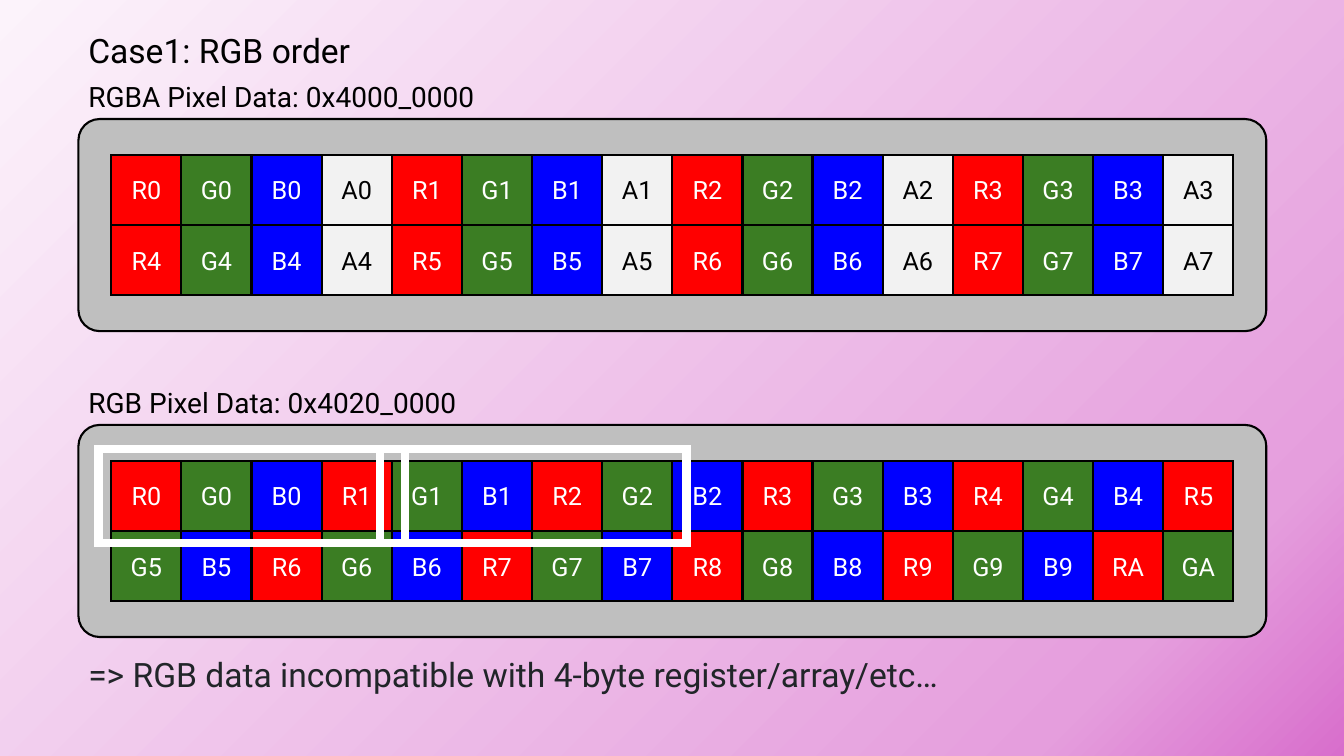
from copy import deepcopy

from lxml import etree
from pptx import Presentation
from pptx import util as u
from pptx.dml.color import RGBColor
from pptx.enum import shapes, text
from pptx.oxml import ns

PX = 6350  # EMU per px, 144 px to the inch
FONT = "Roboto"
COLORS = {
    "R": "FF0000", "G": "3B7D23", "B": "0000FF", "A": "F2F2F2",
    "panel": "BFBFBF", "black": "000000", "white": "FFFFFF", "note": "212529",
}
BACKGROUND = [(0, "FCF3FB"), (0.85, "E59EDD"), (1, "D86ECC")]
COLUMNS, ROWS = 16, 2
RGBA_BYTES = [channel + pixel for pixel in "01234567" for channel in "RGBA"]
RGB_BYTES = [channel + pixel for pixel in "0123456789A" for channel in "RGB"]


def rgb(name):
    return RGBColor.from_string(COLORS[name])


def write(frame, words, size, color, **layout):
    for name, value in layout.items():
        setattr(frame, name, value)
    para = frame.paragraphs[0]
    span = para.add_run()
    span.text = words
    for name, value in {"size": u.Pt(size), "name": FONT}.items():
        setattr(span.font, name, value)
    span.font.color.rgb = rgb(color)
    return para


def add_box(page, kind, box, fill, line, weight):
    shape = page.shapes.add_shape(kind, *(round(length * PX) for length in box))
    shape.shadow.inherit = False
    if fill:
        shape.fill.solid()
        shape.fill.fore_color.rgb = rgb(fill)
    else:
        shape.fill.background()
    shape.line.color.rgb = rgb(line)
    shape.line.width = u.Pt(weight)
    # Square outline corners
    outline = shape.element.xpath("./p:spPr/a:ln")[0]
    etree.SubElement(outline, ns.qn("a:miter"), lim="800000")
    return shape


def add_label(page, box, words, size, color="black"):
    label = page.shapes.add_textbox(*(length * PX for length in box))
    write(label.text_frame, words, size, color, word_wrap=False,
          auto_size=text.MSO_AUTO_SIZE.SHAPE_TO_FIT_TEXT)


def paint_background(page):
    fill = page.background.fill
    fill.gradient()
    fill.gradient_angle = 315
    stops = page.element.xpath(".//a:gsLst")[0]
    stops.append(deepcopy(stops[-1]))
    for stop, (position, color) in zip(fill.gradient_stops, BACKGROUND):
        stop.position = position
        stop.color.rgb = RGBColor.from_string(color)


def add_memory(page, box, caption, cells):
    left, top, width, height = box
    panel = add_box(page, shapes.MSO_SHAPE.ROUNDED_RECTANGLE, box, "panel", "black", 1.5)
    panel.adjustments[0] = 0.1

    # Byte cells fill an even grid inside the panel
    cell_width = (width - 2 * 47) / COLUMNS
    cell_height = (height - 2 * 51) / ROWS
    for index, name in enumerate(cells[:COLUMNS * ROWS]):
        row, column = divmod(index, COLUMNS)
        place = (left + 47 + column * cell_width, top + 51 + row * cell_height,
                 cell_width, cell_height)
        cell = add_box(page, shapes.MSO_SHAPE.RECTANGLE, place, name[0], "black", 1.5)
        para = write(cell.text_frame, name, 18,
                     "black" if name[0] == "A" else "white",
                     word_wrap=True, vertical_anchor=text.MSO_ANCHOR.MIDDLE)
        para.alignment = text.PP_ALIGN.CENTER

    # Caption sits on the panel's top edge
    add_label(page, (left, top - 63, 595, 63), caption, 20)


def add_register_frames(page, box):
    left, top = box[:2]
    for offset in (29, 431):
        add_box(page, shapes.MSO_SHAPE.RECTANGLE,
                (left + offset, top + 34, 438, 135), None, "white", 6)


def build_slide(deck, box):
    left, top, width, height = box
    page = deck.slides.add_slide(deck.slide_layouts[6])
    paint_background(page)

    # Two memory layouts
    rgba_box = (left + 112, top + 170, width - 223, 303)
    rgb_box = (left + 112, top + 607, width - 223, 303)
    add_memory(page, rgba_box, "RGBA Pixel Data: 0x4000_0000", RGBA_BYTES)
    add_memory(page, rgb_box, "RGB Pixel Data: 0x4020_0000", RGB_BYTES)
    add_register_frames(page, rgb_box)

    # Title and conclusion
    add_label(page, (left + 112, top + 35, 416, 72), "Case1: RGB order", 24)
    add_label(page, (left + 112, top + height - 153, 1434, 72),
              "=> RGB data incompatible with 4-byte register/array/etc…", 24, "note")


def main():
    deck = Presentation()
    width, height = 1920, 1080
    deck.slide_width, deck.slide_height = width * PX, height * PX
    build_slide(deck, (0, 0, width, height))
    deck.save("out.pptx")


if __name__ == "__main__":
    main()
